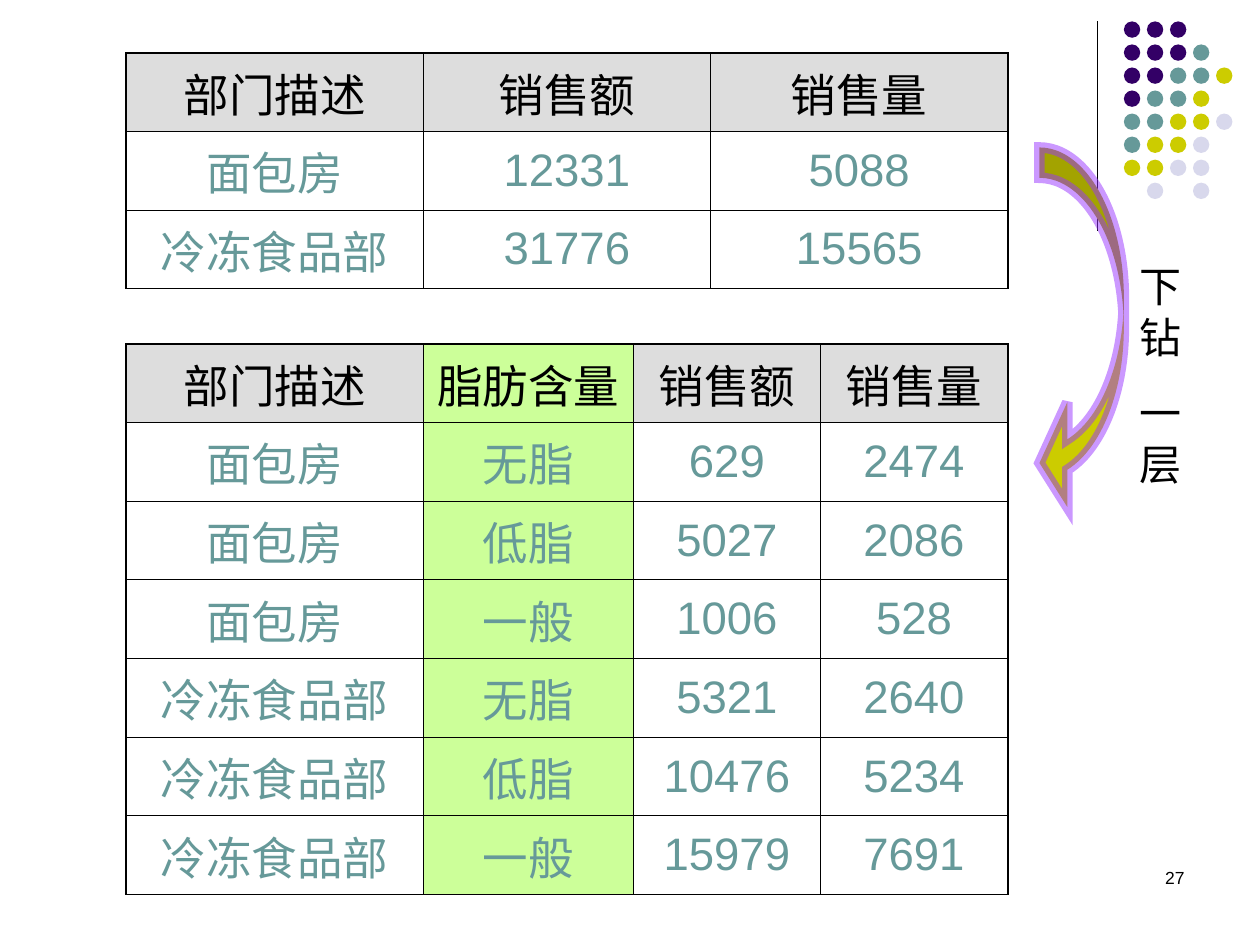
from lxml import etree
from pptx import Presentation
from pptx.dml.color import RGBColor
from pptx.enum.shapes import MSO_CONNECTOR, MSO_SHAPE
from pptx.enum.text import MSO_ANCHOR, PP_ALIGN
from pptx.oxml.ns import qn
from pptx.util import Inches, Pt

STRAIGHT = MSO_CONNECTOR.STRAIGHT
OVAL, CURVED_ARROW = MSO_SHAPE.OVAL, MSO_SHAPE.CURVED_LEFT_ARROW
MIDDLE = MSO_ANCHOR.MIDDLE
CENTER, RIGHT = PP_ALIGN.CENTER, PP_ALIGN.RIGHT

BLACK = RGBColor(0x00, 0x00, 0x00)
WHITE = RGBColor(0xFF, 0xFF, 0xFF)
GRAY = RGBColor(0xDD, 0xDD, 0xDD)
GREEN = RGBColor(0xCC, 0xFF, 0x99)
TEAL = RGBColor(0x66, 0x99, 0x99)
INDIGO = RGBColor(0x33, 0x00, 0x66)
OLIVE = RGBColor(0xCC, 0xCC, 0x00)
LILAC = RGBColor(0xD8, 0xD8, 0xEC)
VIOLET = RGBColor(0x99, 0x33, 0xFF)

DOT_COLORS = {"I": INDIGO, "T": TEAL, "O": OLIVE, "L": LILAC}
DOT_ROWS = ["III", "IIIT", "IITTO", "ITTO", "TTOOL", "TOOL", "OOLL", "-L-L"]

SUMMARY = [
    ["部门描述", "销售额", "销售量"],
    ["面包房", "12331", "5088"],
    ["冷冻食品部", "31776", "15565"],
]
DETAIL = [
    ["部门描述", "脂肪含量", "销售额", "销售量"],
    ["面包房", "无脂", "629", "2474"],
    ["面包房", "低脂", "5027", "2086"],
    ["面包房", "一般", "1006", "528"],
    ["冷冻食品部", "无脂", "5321", "2640"],
    ["冷冻食品部", "低脂", "10476", "5234"],
    ["冷冻食品部", "一般", "15979", "7691"],
]


class SlideBuilder:
    """Hold the slide and its style, and add each kind of element."""

    font = "Arial"
    thick, thin = Pt(1.08), Pt(0.45)

    def __init__(self, slide):
        self.slide = slide

    def paragraph(self, p, text, size, color, align, before=0, font=None):
        p.alignment = align
        p.space_before = Pt(before)
        r = p.add_run()
        r.text = text
        r.font.name = font or self.font
        r.font.size = Pt(size)
        r.font.color.rgb = color

    def text(self, x, y, w, h, lines, size, align, before=0, font=None):
        tf = self.slide.shapes.add_textbox(Inches(x), Inches(y), Inches(w), Inches(h)).text_frame
        tf.word_wrap = True
        for i, line in enumerate(lines):
            p = tf.add_paragraph() if i else tf.paragraphs[0]
            self.paragraph(p, line, size, BLACK, align, before, font)

    def line(self, x1, y1, x2, y2):
        cn = self.slide.shapes.add_connector(STRAIGHT, Inches(x1), Inches(y1), Inches(x2), Inches(y2))
        cn.line.color.rgb = BLACK
        cn.line.width = Pt(0.75)
        etree.SubElement(cn._element.spPr, qn("a:effectLst"))

    def shape(self, kind, x, y, w, h, fill):
        sp = self.slide.shapes.add_shape(kind, Inches(x), Inches(y), Inches(w), Inches(h))
        sp.shadow.inherit = False
        sp.fill.solid()
        sp.fill.fore_color.rgb = fill
        sp.line.fill.background()
        return sp

    def dots(self, x, y, height, size):
        step = (height - size) / (len(DOT_ROWS) - 1)
        for i, row in enumerate(DOT_ROWS):
            for j, key in enumerate(row):
                if key in DOT_COLORS:
                    self.shape(OVAL, x + j * step, y + i * step, size, size, DOT_COLORS[key])

    def arrow(self, x, y, w, h):
        sp = self.shape(CURVED_ARROW, x, y, w, h, OLIVE)
        for i, value in enumerate((0.36, 1.24, 0.33)):
            sp.adjustments[i] = value
        sp.line.color.rgb = VIOLET
        sp.line.width = Pt(6)
        ln = sp.line._get_or_add_ln()
        etree.SubElement(ln.find(".//" + qn("a:srgbClr")), qn("a:alpha"), val="50000")
        etree.SubElement(ln, qn("a:miter"), lim="800000")

    def borders(self, cell, outer):
        tc_pr = cell._tc.get_or_add_tcPr()
        for i, (side, is_outer) in enumerate(outer.items()):
            width = self.thick if is_outer else self.thin
            ln = etree.Element(qn("a:ln" + side), w=str(int(width)))
            fill = etree.SubElement(ln, qn("a:solidFill"))
            etree.SubElement(fill, qn("a:srgbClr"), val=str(BLACK))
            tc_pr.insert(i, ln)

    def table(self, x, y, height, widths, rows, accent=None):
        n_rows, n_cols = len(rows), len(widths)
        table = self.slide.shapes.add_table(
            n_rows, n_cols, Inches(x), Inches(y), Inches(sum(widths)), Inches(height)).table
        for col, width in zip(table.columns, widths):
            col.width = Inches(width)
        for i, row in enumerate(rows):
            table.rows[i].height = Inches(height / n_rows)
            for j, text in enumerate(row):
                cell = table.cell(i, j)
                cell.vertical_anchor = MIDDLE
                cell.fill.solid()
                cell.fill.fore_color.rgb = GREEN if j == accent else WHITE if i else GRAY
                color = TEAL if i else BLACK
                self.paragraph(cell.text_frame.paragraphs[0], text, 26, color, CENTER, 6.5)
                self.borders(cell, {"L": j == 0, "R": j == n_cols - 1,
                                    "T": i == 0, "B": i == n_rows - 1})


def main():
    prs = Presentation()
    prs.slide_width, prs.slide_height = Inches(10), Inches(7.5)
    s = SlideBuilder(prs.slides.add_slide(prs.slide_layouts[6]))
    s.line(8.71, 0.17, 8.71, 1.83)
    s.dots(8.92, 0.17, 1.41, 0.13)
    s.text(7.17, 6.83, 2.33, 0.5, ["27"], 10, RIGHT)
    s.table(1, 0.42, 1.87, [2.36, 2.28, 2.36], SUMMARY)
    s.table(1, 2.73, 4.37, [2.36, 1.67, 1.48, 1.49], DETAIL, accent=1)
    s.arrow(8.25, 1.17, 0.67, 2.92)
    s.text(8.92, 2.02, 0.58, 1.91, ["下钻", "一层"], 24, CENTER, 15, "Times New Roman")
    prs.save("out.pptx")


if __name__ == "__main__":
    main()
